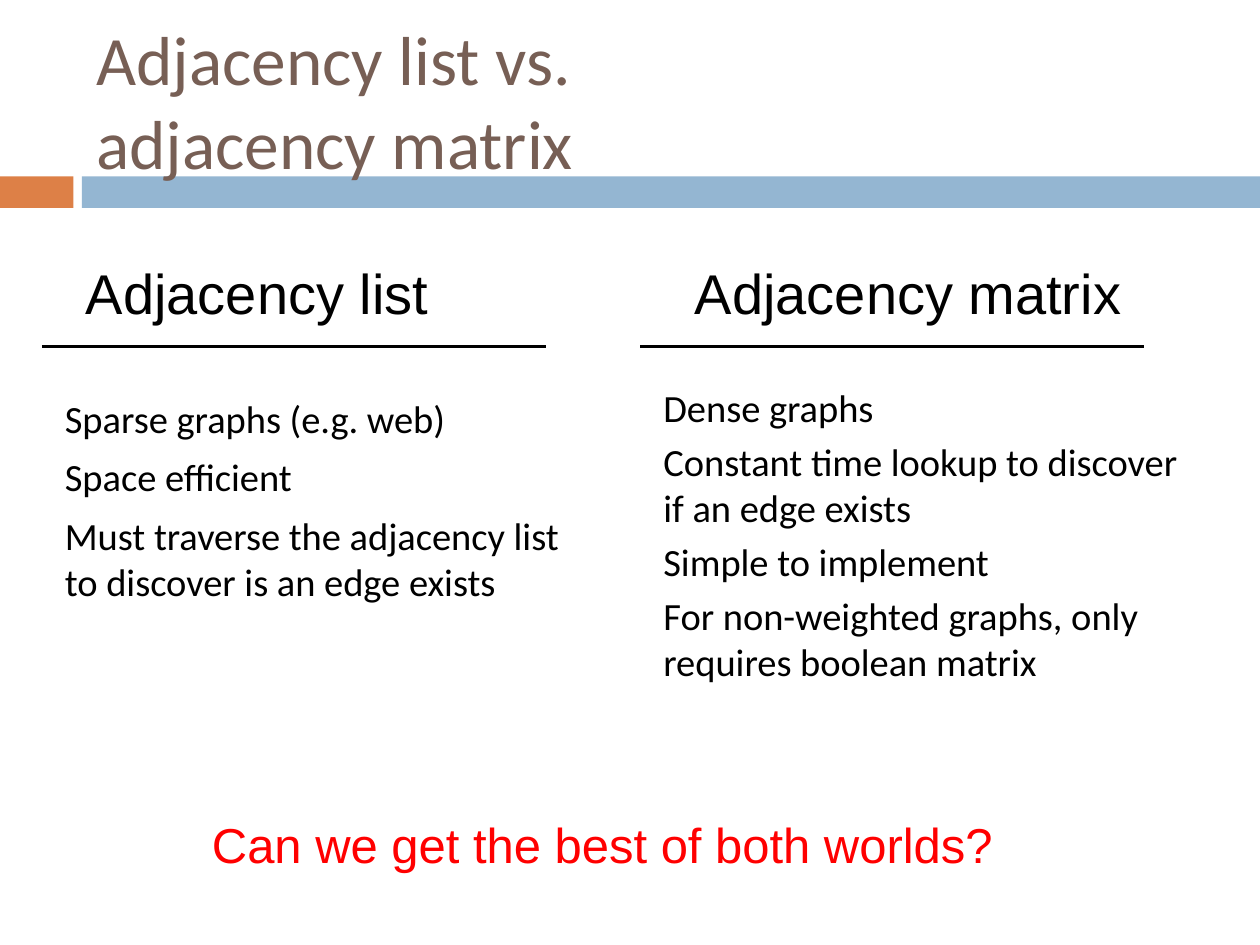
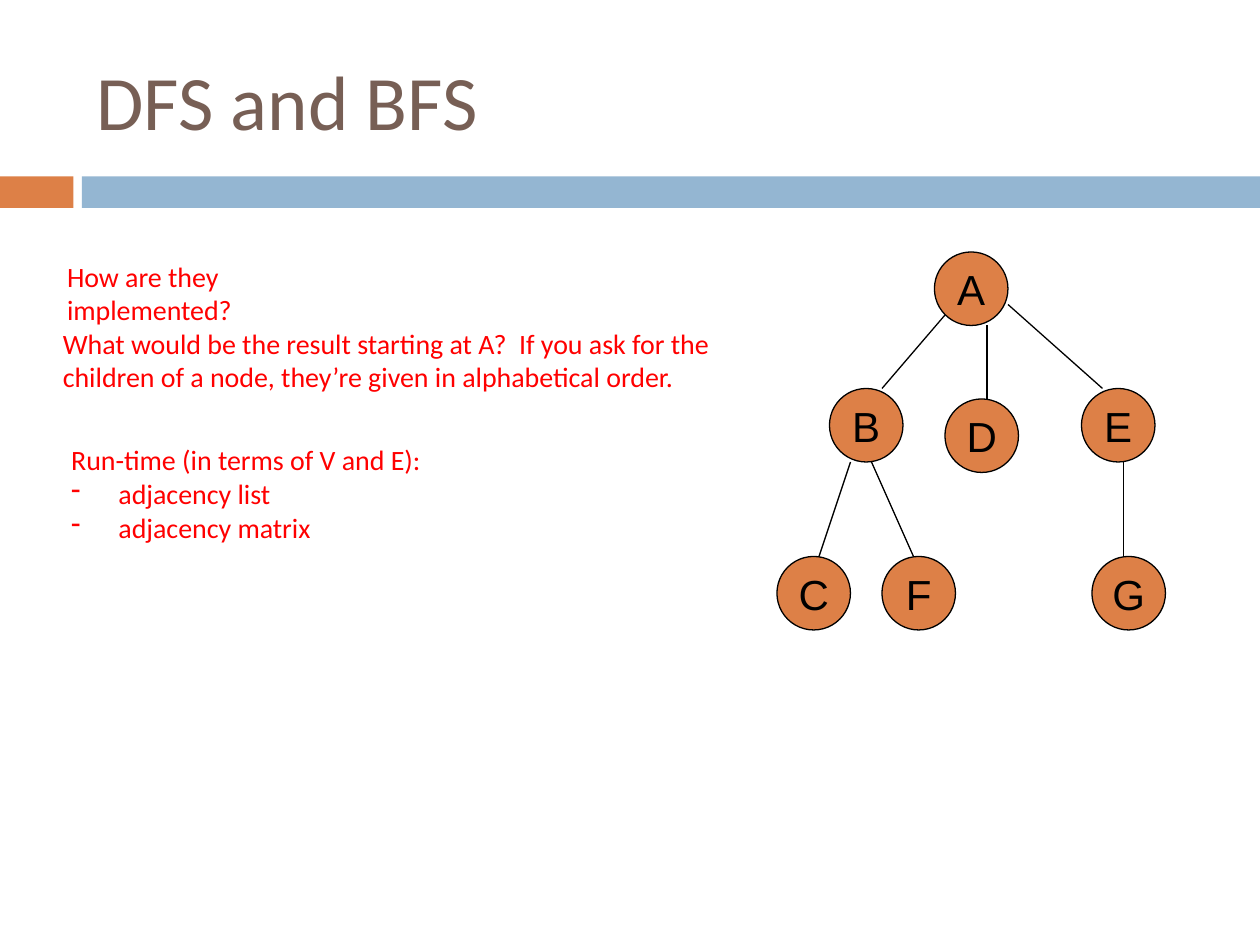
from lxml import etree
from pptx import Presentation
from pptx.dml.color import RGBColor
from pptx.enum.shapes import MSO_CONNECTOR, MSO_SHAPE
from pptx.enum.text import MSO_ANCHOR, PP_ALIGN
from pptx.oxml.ns import qn
from pptx.util import Inches, Pt

RECT, OVAL = MSO_SHAPE.RECTANGLE, MSO_SHAPE.OVAL
STRAIGHT = MSO_CONNECTOR.STRAIGHT
MIDDLE, TOP = MSO_ANCHOR.MIDDLE, MSO_ANCHOR.TOP
CENTER = PP_ALIGN.CENTER

COLS, ROWS = 120, 90  # square grid, twelve units to the inch
BLACK, RED, ORANGE, BLUE, BROWN = "000000", "FF0000", "DD8047", "94B6D2", "775F55"
HEAD_FONT, BODY_FONT = "Arial", "Calibri"
NODE = 7  # node diameter in grid units


def u(n):
    return Inches(n / 12)


def rgb(color):
    return RGBColor.from_string(color)


def style(p, size, color, font):
    for r in p.runs:
        r.font.size, r.font.name = Pt(size), font
        r.font.color.rgb = rgb(color)


def add_text(slide, box, lines, size, color=BLACK, font=BODY_FONT, gap=0, anchor=TOP):
    tf = slide.shapes.add_textbox(*map(u, box)).text_frame
    tf.word_wrap, tf.vertical_anchor = True, anchor
    for i, line in enumerate(lines):
        p = tf.paragraphs[0] if i == 0 else tf.add_paragraph()
        p.text = line
        p.space_before = Pt(gap)
        style(p, size, color, font)
    return tf


def add_filled(slide, kind, box, fill):
    sp = slide.shapes.add_shape(kind, *map(u, box))
    sp.shadow.inherit = False
    sp.fill.solid()
    sp.fill.fore_color.rgb = rgb(fill)
    sp.line.fill.background()
    return sp


def add_line(slide, start, end, width):
    line = slide.shapes.add_connector(STRAIGHT, *map(u, start + end))
    line.line.color.rgb = rgb(BLACK)
    line.line.width = Pt(width)
    etree.SubElement(line._element.spPr, qn("a:effectLst"))


def add_dash(p, indent):
    pPr = p._p.get_or_add_pPr()
    pPr.set("marL", str(indent))
    pPr.set("indent", str(-indent))
    etree.SubElement(pPr, qn("a:buChar"), char="-")


def new_slide(prs, title, size):
    slide = prs.slides.add_slide(prs.slide_layouts[6])
    # Two-colour band below the title
    add_filled(slide, RECT, (0, 16.8, 7, 3), ORANGE)
    add_filled(slide, RECT, (7.8, 16.8, COLS - 7.8, 3), BLUE)
    add_text(slide, (8, 3, 107, 13), [title], size, BROWN, anchor=MIDDLE)
    return slide


def add_column(slide, left, top, heading, heading_box, points, body_drop, gap):
    indent, width = heading_box
    add_text(slide, (left + indent, top, width, 7.5), [heading], 32, font=HEAD_FONT)
    add_line(slide, (left, top + 9), (left + 48, top + 9), 2.25)
    add_text(slide, (left + 1, top + body_drop, 52, 34), points, 22, gap=gap)


def add_tree(slide, left, top):
    # Node corners and edge ends, in grid units from the tree's corner
    nodes = {"A": (15, 0), "B": (5, 13), "C": (0, 29), "D": (16, 14),
             "E": (29, 13), "F": (10, 29), "G": (30, 29)}
    edges = [((16, 6), (10, 13)), ((20, 7), (20, 14)), ((22, 5), (31, 13)),
             ((7, 20), (4, 29)), ((9, 20), (13, 29)), ((33, 20), (33, 29))]
    for name, (x, y) in nodes.items():
        sp = add_filled(slide, OVAL, (left + x, top + y, NODE, NODE), ORANGE)
        sp.line.color.rgb = rgb(BLACK)
        sp.line.width = Pt(0.75)
        tf = sp.text_frame
        tf.margin_left = tf.margin_right = tf.margin_top = tf.margin_bottom = 0
        tf.word_wrap, tf.vertical_anchor = False, MIDDLE
        tf.text = name
        tf.paragraphs[0].alignment = CENTER
        style(tf.paragraphs[0], 24, BLACK, HEAD_FONT)
    for (x1, y1), (x2, y2) in edges:
        add_line(slide, (left + x1, top + y1), (left + x2, top + y2), 0.75)


def comparison_slide(prs):
    slide = new_slide(prs, "Adjacency list vs.\vadjacency matrix", 39.6)
    add_column(slide, 4, 24, "Adjacency list", (3, 38),
               ["Sparse graphs (e.g. web)",
                "Space efficient",
                "Must traverse the adjacency list to discover is an edge exists"],
               body_drop=13, gap=7)
    add_column(slide, 61, 24, "Adjacency matrix", (4, 44),
               ["Dense graphs",
                "Constant time lookup to discover if an edge exists",
                "Simple to implement",
                "For non-weighted graphs, only requires boolean matrix"],
               body_drop=12, gap=4.4)
    add_text(slide, (19, 77, 80, 6.8), ["Can we get the best of both worlds?"],
             28, RED, HEAD_FONT)


def search_slide(prs):
    slide = new_slide(prs, "DFS and BFS", 44)
    add_tree(slide, 74, 24)
    # Questions
    add_text(slide, (5.2, 24.1, 32.3, 4.4), ["How are they implemented?"], 16, RED)
    add_text(slide, (4.8, 30.5, 65.9, 7.7),
             ["What would be the result starting at A?  If you ask for the children "
              "of a node, they’re given in alphabetical order."], 16, RED)
    tf = add_text(slide, (5.6, 41.6, 54.8, 11.3),
                  ["Run-time (in terms of V and E):", "adjacency list", "adjacency matrix"],
                  16, RED)
    for p in tf.paragraphs[1:]:
        add_dash(p, u(4.5))


def main():
    prs = Presentation()
    prs.slide_width, prs.slide_height = u(COLS), u(ROWS)
    comparison_slide(prs)
    search_slide(prs)
    prs.save("out.pptx")


if __name__ == "__main__":
    main()
